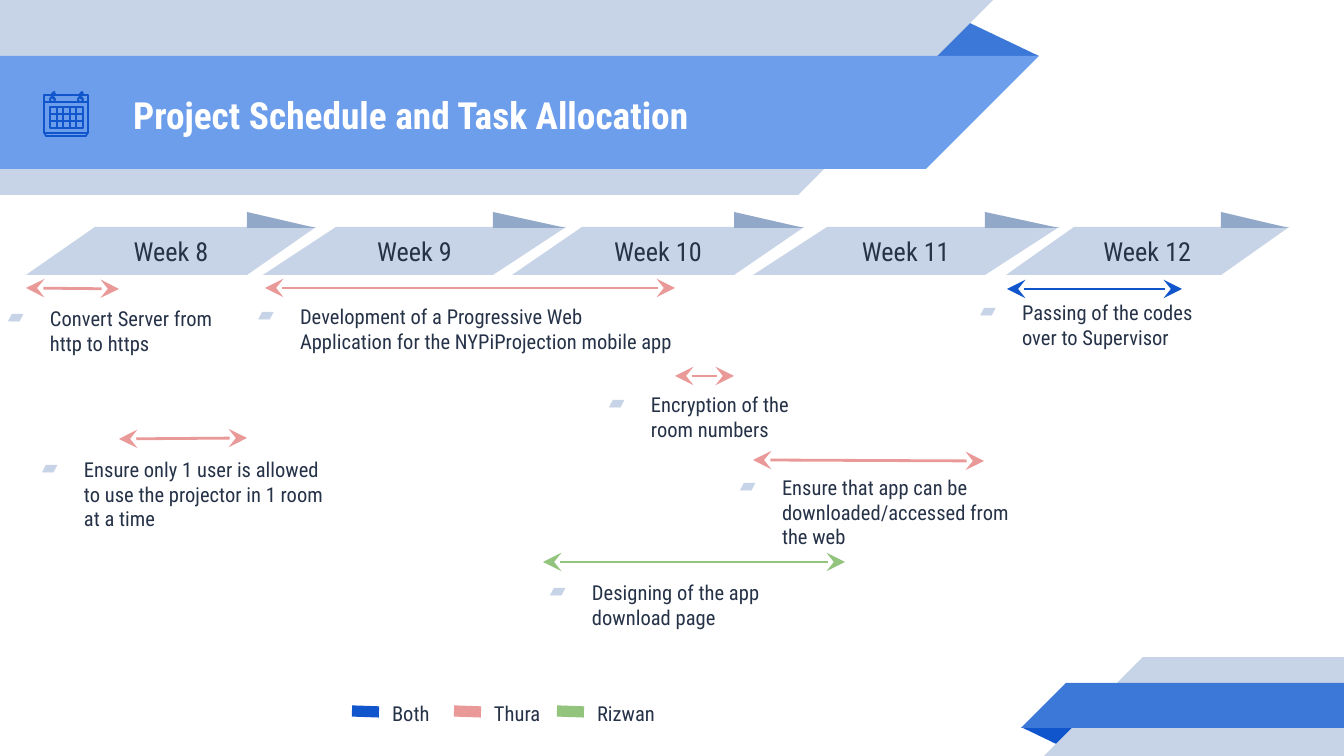
from dataclasses import dataclass

from lxml import etree
from pptx import Presentation
from pptx.dml.color import RGBColor
from pptx.enum.shapes import MSO_CONNECTOR, MSO_SHAPE
from pptx.enum.text import MSO_ANCHOR, MSO_AUTO_SIZE, PP_ALIGN
from pptx.oxml.ns import qn
from pptx.util import Pt

RECT = MSO_SHAPE.RECTANGLE
RIGHT_TRIANGLE = MSO_SHAPE.RIGHT_TRIANGLE
TRIANGLE = MSO_SHAPE.ISOSCELES_TRIANGLE
OVAL = MSO_SHAPE.OVAL
STRAIGHT = MSO_CONNECTOR.STRAIGHT
TOP, MIDDLE = MSO_ANCHOR.TOP, MSO_ANCHOR.MIDDLE
LEFT, CENTER = PP_ALIGN.LEFT, PP_ALIGN.CENTER
NO_AUTOFIT = MSO_AUTO_SIZE.NONE

EMU_PER_PX = 914400 / 134.4
SLIDE_WIDTH, SLIDE_HEIGHT = 1344, 756


@dataclass(frozen=True)
class Theme:
    font: str = "Roboto Condensed"
    white: str = "FFFFFF"
    ink: str = "263248"
    pale: str = "C7D3E6"
    fold: str = "92A8C8"
    banner: str = "6D9EEB"
    strong: str = "3C78D8"
    both: str = "1155CC"
    thura: str = "EA9999"
    rizwan: str = "93C47D"
    title_size: int = 20
    week_size: int = 14
    body_size: int = 11
    arrow_width: float = 1.5
    swatch_width: int = 6
    icon_width: float = 0.96


THEME = Theme()


def px(value):
    return round(value * EMU_PER_PX)


def set_all(target, values):
    for name, value in values.items():
        setattr(target, name, value)


class SlideBuilder:
    def __init__(self, slide, theme):
        self.slide = slide
        self.theme = theme

    def fill_text(self, frame, text, size, color, align=LEFT, anchor=TOP, bold=False):
        inset = px(13)
        set_all(frame, dict(word_wrap=True, auto_size=NO_AUTOFIT, vertical_anchor=anchor,
                            margin_left=inset, margin_right=inset,
                            margin_top=inset, margin_bottom=inset))
        paragraph = frame.paragraphs[0]
        paragraph.alignment = align
        run = paragraph.add_run()
        run.text = text
        set_all(run.font, dict(name=self.theme.font, size=Pt(size), bold=bold))
        run.font.color.rgb = RGBColor.from_string(color)
        return paragraph

    def title(self, text, *box):
        holder = self.slide.shapes.title
        set_all(holder, dict(zip(("left", "top", "width", "height"), map(px, box))))
        self.fill_text(holder.text_frame, text, self.theme.title_size, self.theme.white,
                       anchor=MIDDLE, bold=True)
        holder.element.getparent().append(holder.element)

    def shape(self, kind, box, fill, flip=False, rotation=0, apex=None):
        shape = self.slide.shapes.add_shape(kind, *map(px, box))
        shape.shadow.inherit = False
        shape.fill.solid()
        shape.fill.fore_color.rgb = RGBColor.from_string(fill)
        shape.line.fill.background()
        shape.rotation = rotation
        if flip:
            shape.element.spPr.xfrm.set("flipH", "1")
        if apex is not None:
            shape.adjustments[0] = apex
        return shape

    def outline(self, shape):
        shape.shadow.inherit = False
        shape.fill.background()
        self.stroke(shape.line, self.theme.both, self.theme.icon_width)

    def stroke(self, line, color, width):
        line.width = Pt(width)
        line.color.rgb = RGBColor.from_string(color)

    def polyline(self, points, close=False):
        builder = self.slide.shapes.build_freeform(*points[0], scale=EMU_PER_PX)
        builder.add_line_segments(points[1:], close=close)
        self.outline(builder.convert_to_shape())

    def ring(self, *box):
        self.outline(self.slide.shapes.add_shape(OVAL, *map(px, box)))

    def line(self, ends, color, width, arrows=False):
        connector = self.slide.shapes.add_connector(STRAIGHT, *map(px, ends))
        self.stroke(connector.line, color, width)
        properties = connector.element.spPr
        if arrows:
            for end in ("a:headEnd", "a:tailEnd"):
                etree.SubElement(properties.find(qn("a:ln")), qn(end),
                                 type="stealth", w="lg", len="lg")
        etree.SubElement(properties, qn("a:effectLst"))

    def label(self, text, box):
        frame = self.slide.shapes.add_textbox(*map(px, box)).text_frame
        return self.fill_text(frame, text, self.theme.body_size, self.theme.ink)

    def bullet(self, text, box):
        paragraph = self.label(text, box)
        paragraph.space_after = Pt(10)
        properties = paragraph._p.get_or_add_pPr()
        properties.set("marL", str(px(67)))
        properties.set("indent", str(-px(42)))
        color = etree.SubElement(properties, qn("a:buClr"))
        etree.SubElement(color, qn("a:srgbClr"), val=self.theme.pale)
        etree.SubElement(properties, qn("a:buChar"), char="▰")

    def header_band(self, top, width, height, fill):
        """Band from the left edge whose right end slants at 45 degrees."""
        self.shape(RECT, (0, top, width, height), fill, flip=True)
        self.shape(RIGHT_TRIANGLE, (width, top, height, height), fill, flip=True, rotation=180)

    def footer_band(self, left, top, height, fill):
        """Band to the right edge whose left end slants at 45 degrees."""
        body = left + height
        self.shape(RECT, (body, top, SLIDE_WIDTH - body, height), fill, flip=True)
        self.shape(RIGHT_TRIANGLE, (left, top, height, height), fill, flip=True)

    def week(self, name, left, slant, width):
        top, height, fold_height = 227, 48, 16
        body, end = left + slant, left + slant + width
        pale = self.theme.pale
        banner = self.shape(RECT, (body, top, width, height), pale, flip=True)
        self.fill_text(banner.text_frame, name, self.theme.week_size, self.theme.ink,
                       CENTER, MIDDLE)
        self.shape(RIGHT_TRIANGLE, (left, top, slant, height), pale, flip=True)
        self.shape(RIGHT_TRIANGLE, (end, top, slant, height), pale, flip=True, rotation=180)
        self.shape(TRIANGLE, (end, top + 1 - fold_height, slant, fold_height),
                   self.theme.fold, apex=0)

    def calendar(self):
        left, right, top, bottom = 44, 88, 102, 133
        self.polyline([(right, top), (right, 95), (left, 95), (left, top)])
        for x in (50, 78):
            self.ring(x, 97, 5, 5)
            self.polyline([(x + 4, 99), (x + 2, 98), (x + 2, 94), (x + 4, 92), (x + 5, 94)])
        self.polyline([(left, 132), (left + 2, 136), (right - 2, 136), (right, 132)])
        self.polyline([(left, top), (left, bottom), (right, bottom), (right, top)], close=True)
        self.polyline([(50, 107), (83, 107), (83, 128), (50, 128)], close=True)
        rows = [(50, y, 83, y) for y in (114, 121)]
        columns = [(x, 107, x, 128) for x in (57, 63, 70, 76)]
        for ends in rows + columns:
            self.line(ends, self.theme.both, self.theme.icon_width)


WEEKS = [("Week 8", 26, 69, 152), ("Week 9", 263, 73, 157), ("Week 10", 512, 70, 152),
         ("Week 11", 753, 74, 158), ("Week 12", 1006, 68, 147)]

# Text, owner colour, arrow ends, text box
TASKS = [
    ("Convert Server from http to https", THEME.thura,
     (26, 288, 119, 289), (-30, 293, 269, 59)),
    ("Ensure only 1 user is allowed to use the projector in 1 room at a time", THEME.thura,
     (119, 439, 247, 438), (4, 444, 336, 98)),
    ("Development of a Progressive Web Application for the NYPiProjection mobile app",
     THEME.thura, (265, 288, 675, 288), (220, 291, 468, 98)),
    ("Encryption of the room numbers", THEME.thura,
     (675, 376, 734, 376), (571, 379, 266, 69)),
    ("Ensure that app can be downloaded/accessed from the web", THEME.thura,
     (753, 460, 984, 461), (702, 462, 333, 101)),
    ("Passing of the codes over to Supervisor", THEME.both,
     (1007, 289, 1182, 289), (942, 287, 266, 69)),
    ("Designing of the app download page", THEME.rizwan,
     (543, 562, 845, 562), (512, 567, 335, 65)),
]

LEGEND = [("Both", THEME.both, 352, 74), ("Thura", THEME.thura, 454, 113),
          ("Rizwan", THEME.rizwan, 557, 124)]


def main():
    deck = Presentation()
    set_all(deck, dict(slide_width=px(SLIDE_WIDTH), slide_height=px(SLIDE_HEIGHT)))
    title_only = deck.slide_layouts[5]
    page = SlideBuilder(deck.slides.add_slide(title_only), THEME)

    page.shape(TRIANGLE, (925, 19, 114, 37), THEME.strong, apex=0.32)
    page.header_band(0, 798, 195, THEME.pale)
    page.header_band(56, 926, 113, THEME.banner)
    page.shape(TRIANGLE, (1021, 727, 58, 19), THEME.both, rotation=180, apex=0.32)
    page.footer_band(1044, 657, 99, THEME.pale)
    page.footer_band(1021, 683, 45, THEME.strong)
    page.title("Project Schedule and Task Allocation", 120, 58, 773, 113)
    page.calendar()

    for week in WEEKS:
        page.week(*week)
    for text, color, ends, box in TASKS:
        page.line(ends, color, THEME.arrow_width, arrows=True)
        page.bullet(text, box)
    for owner, color, left, width in LEGEND:
        page.line((left, 711, left + 27, 712), color, THEME.swatch_width)
        page.label(owner, (left + 27, 688, width, 47))
    deck.save("out.pptx")


if __name__ == "__main__":
    main()
